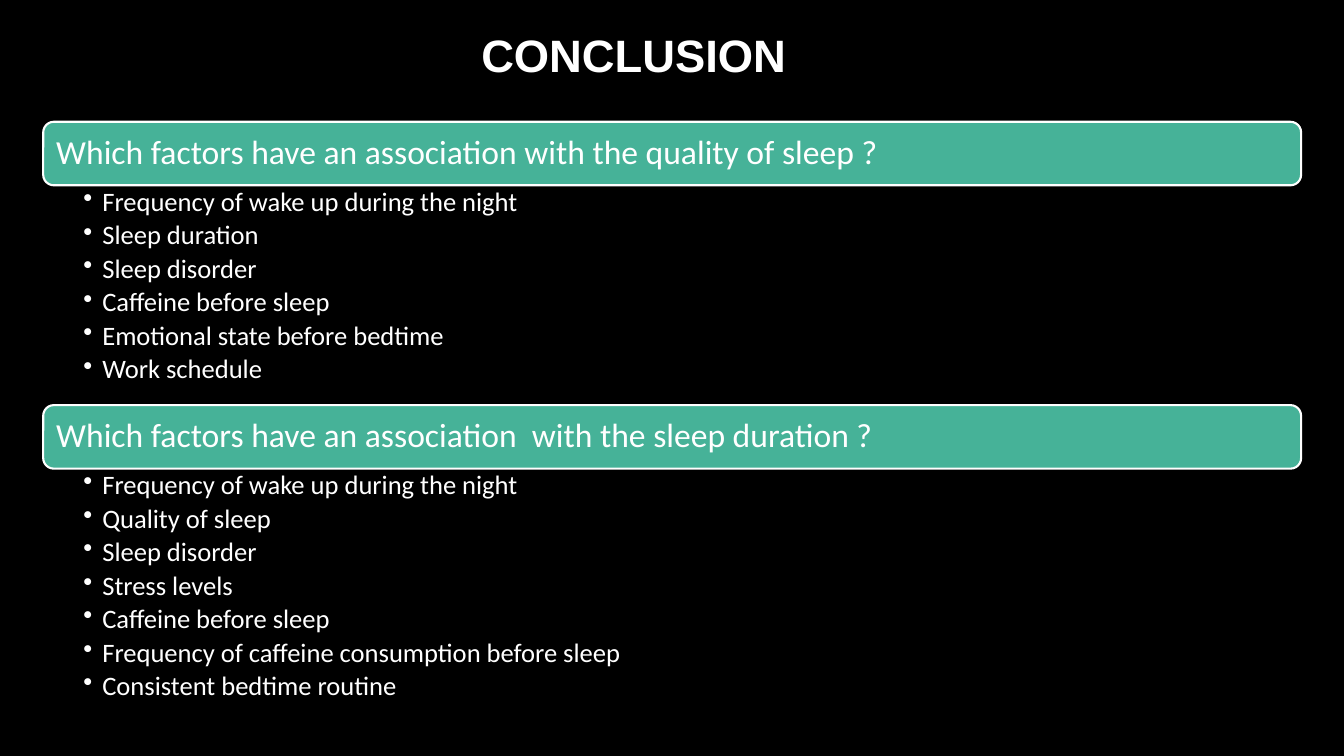
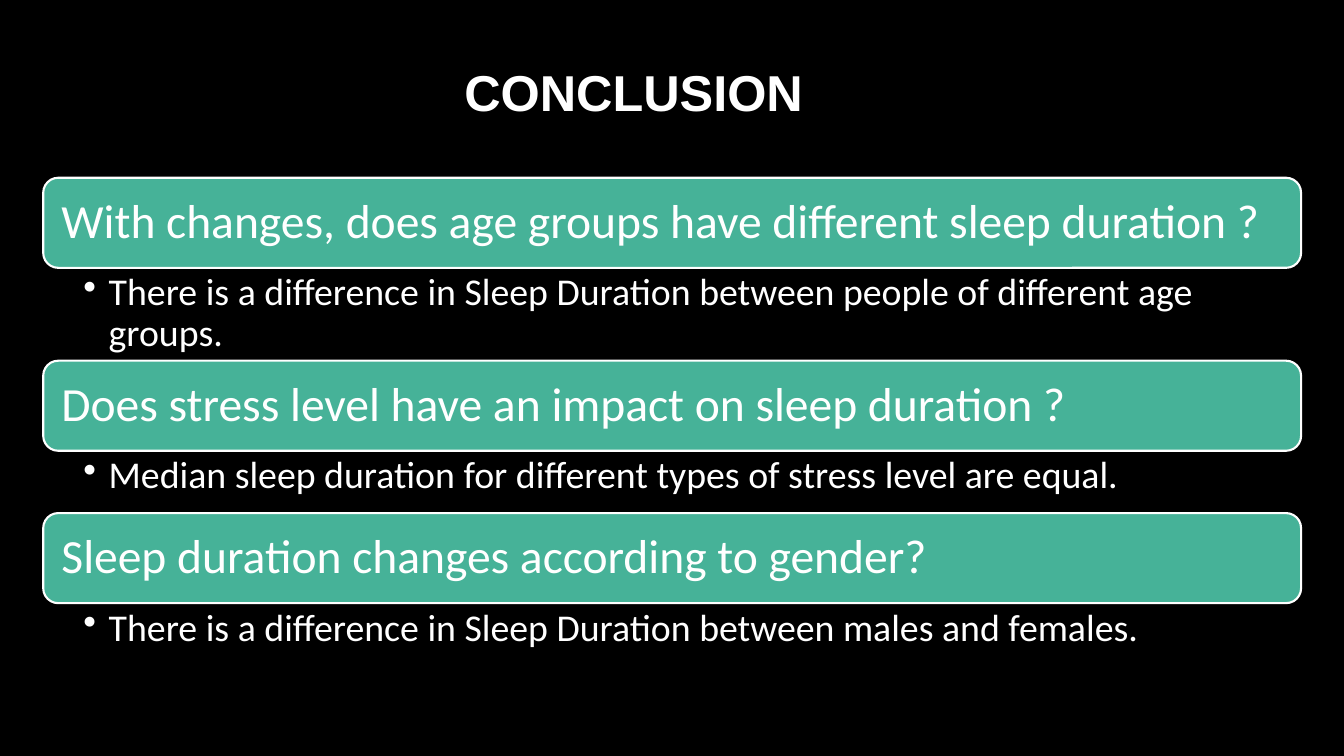
from dataclasses import dataclass

from lxml import etree
from pptx import Presentation
from pptx.dml.color import RGBColor
from pptx.enum.shapes import MSO_SHAPE
from pptx.enum.text import MSO_ANCHOR, MSO_AUTO_SIZE, PP_ALIGN
from pptx.oxml.ns import qn
from pptx.util import Cm, Pt

ROUNDED = MSO_SHAPE.ROUNDED_RECTANGLE
MIDDLE = MSO_ANCHOR.MIDDLE
TOP = MSO_ANCHOR.TOP
NO_FIT = MSO_AUTO_SIZE.NONE
CENTER = PP_ALIGN.CENTER
LEFT = PP_ALIGN.LEFT

COLORS = {"background": "000000", "text": "FFFFFF", "band": "46B298"}
TITLE_FONT = "Arial"
BODY_FONT = "Calibri"
TITLE_ONLY = 5
BAND_LEFT = 1.09
BAND_WIDTH = 31.7
LINE_SPACING = 0.9


@dataclass(frozen=True)
class Section:
    question: str
    answers: tuple[str, ...]
    list_height: float


@dataclass(frozen=True)
class Style:
    title_size: float
    title_height: float
    top: float
    band_height: float
    band_inset: float
    question_size: float
    answer_size: float
    list_inset: float
    list_right_inset: float
    indent: float


@dataclass(frozen=True)
class Page:
    style: Style
    sections: tuple[Section, ...]


COMPACT = Style(32.4, 1.24, 3.07, 1.6, 0.25, 24, 19, 0.08, 0.48, 0.48)
LARGE = Style(36, 3.07, 4.48, 2.27, 0.35, 34, 27, 0.13, 0.66, 0.64)

PAGES = (
    Page(COMPACT, (
        Section("Which factors have an association with the quality of sleep ?", (
            "Frequency of wake up during the night",
            "Sleep duration",
            "Sleep disorder",
            "Caffeine before sleep",
            "Emotional state before bedtime",
            "Work schedule",
        ), 5.54),
        Section("Which factors have an association  with the sleep duration ?", (
            "Frequency of wake up during the night",
            "Quality of sleep",
            "Sleep disorder",
            "Stress levels",
            "Caffeine before sleep",
            "Frequency of caffeine consumption before sleep",
            "Consistent bedtime routine",
        ), 6.35),
    )),
    Page(LARGE, (
        Section("With changes, does age groups have different sleep duration ?", (
            "There is a difference in Sleep Duration between people of different age groups.",
        ), 2.34),
        Section("Does stress level have an impact on sleep duration ?", (
            "Median sleep duration for different types of stress level are equal.",
        ), 1.57),
        Section("Sleep duration changes according to gender?", (
            "There is a difference in Sleep Duration between males and females.",
        ), 1.57),
    )),
)


def color(name: str) -> RGBColor:
    return RGBColor.from_string(COLORS[name])


def add_span(para, text: str, font: str, size: float, bold: bool = False) -> None:
    span = para.add_run()
    span.text = text
    span.font.name = font
    span.font.size = Pt(size)
    span.font.bold = bold
    span.font.color.rgb = color("text")


def set_frame(frame, anchor, left: float, top: float, right: float) -> None:
    frame.word_wrap = True
    frame.auto_size = NO_FIT
    frame.vertical_anchor = anchor
    frame.margin_left = Cm(left)
    frame.margin_right = Cm(right)
    frame.margin_top = frame.margin_bottom = Cm(top)


def add_bullet(para, indent: float) -> None:
    properties = para._p.get_or_add_pPr()
    properties.set("marL", str(Cm(indent)))
    properties.set("indent", str(-Cm(indent)))
    etree.SubElement(properties, qn("a:buChar")).set("char", "•")


def add_title(slide, style: Style) -> None:
    title = slide.shapes.title
    title.left, title.top = Cm(1.9), Cm(0.76)
    title.width, title.height = Cm(28.14), Cm(style.title_height)
    set_frame(title.text_frame, MIDDLE, 0.25, 0.13, 0.25)
    para = title.text_frame.paragraphs[0]
    para.alignment = CENTER
    add_span(para, "CONCLUSION", TITLE_FONT, style.title_size, True)


def add_band(slide, question: str, top: float, style: Style) -> None:
    band = slide.shapes.add_shape(
        ROUNDED, Cm(BAND_LEFT), Cm(top), Cm(BAND_WIDTH), Cm(style.band_height)
    )
    band.shadow.inherit = False
    band.fill.solid()
    band.fill.fore_color.rgb = color("band")
    band.line.color.rgb = color("text")
    band.line.width = Pt(1.5)
    inset = style.band_inset
    set_frame(band.text_frame, MIDDLE, inset, inset, inset)
    para = band.text_frame.paragraphs[0]
    para.alignment = LEFT
    para.line_spacing = LINE_SPACING
    add_span(para, question, BODY_FONT, style.question_size)


def add_answers(slide, section: Section, top: float, style: Style) -> None:
    box = slide.shapes.add_textbox(
        Cm(BAND_LEFT), Cm(top), Cm(BAND_WIDTH), Cm(section.list_height)
    )
    frame = box.text_frame
    set_frame(frame, TOP, 1.01, style.list_inset, style.list_right_inset)
    for index, answer in enumerate(section.answers):
        para = frame.add_paragraph() if index else frame.paragraphs[0]
        para.level = 1
        para.line_spacing = LINE_SPACING
        para.space_after = Pt(round(0.18 * style.answer_size, 1))
        add_bullet(para, style.indent)
        add_span(para, answer, BODY_FONT, style.answer_size)


def add_page(deck, page: Page) -> None:
    slide = deck.slides.add_slide(deck.slide_layouts[TITLE_ONLY])
    add_title(slide, page.style)
    top = page.style.top
    for section in page.sections:
        add_band(slide, section.question, top, page.style)
        top += page.style.band_height
        add_answers(slide, section, top, page.style)
        top += section.list_height


def main() -> None:
    deck = Presentation()
    deck.slide_width, deck.slide_height = Cm(33.87), Cm(19.05)
    background = deck.slide_master.background.fill
    background.solid()
    background.fore_color.rgb = color("background")
    for page in PAGES:
        add_page(deck, page)
    deck.save("out.pptx")


if __name__ == "__main__":
    main()
